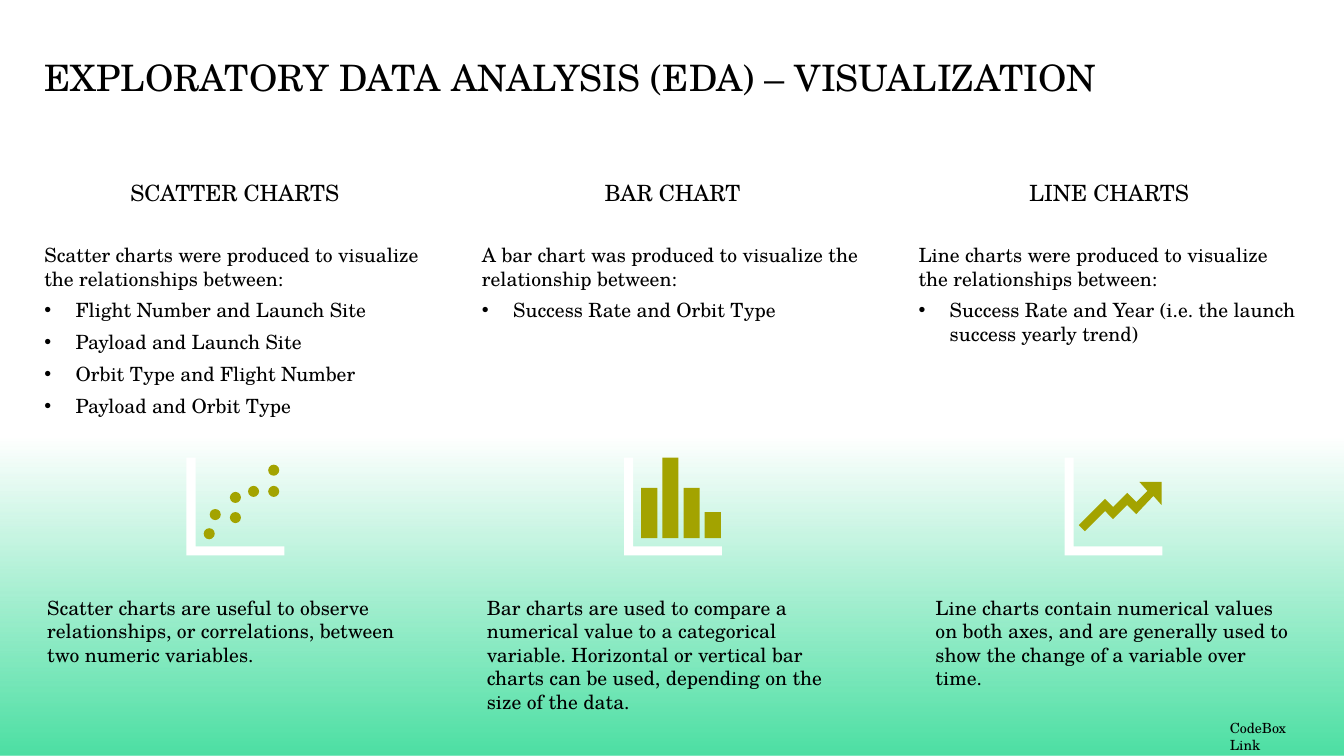
"""Build the slide on exploratory data analysis charts."""
from lxml import etree
from pptx import Presentation
from pptx.dml.color import RGBColor
from pptx.enum.shapes import MSO_SHAPE
from pptx.enum.text import MSO_ANCHOR, MSO_AUTO_SIZE, PP_ALIGN
from pptx.oxml import parse_xml
from pptx.oxml.ns import nsdecls, qn
from pptx.util import Inches, Pt

RECTANGLE, OVAL = MSO_SHAPE.RECTANGLE, MSO_SHAPE.OVAL
TOP, MIDDLE, BOTTOM = MSO_ANCHOR.TOP, MSO_ANCHOR.MIDDLE, MSO_ANCHOR.BOTTOM
LEFT, CENTER = PP_ALIGN.LEFT, PP_ALIGN.CENTER
GROW = MSO_AUTO_SIZE.SHAPE_TO_FIT_TEXT

COLORS = {"text": "000000", "mint": "4CDFA3", "axis": "FFFFFF", "mark": "A3A300"}
COLUMN_WIDTH = 3.78
ICON_TOP = 4.54
ICON_SIZE = 0.97
AXIS_THICKNESS = 0.09
DOT_SIZE = 0.11
BAR_WIDTH = 0.16
BAR_STEP = 0.21
BAR_BASE = 5.34

COLUMNS = [
    {
        "left": 0.44, "heading": "SCATTER CHARTS",
        "intro": "Scatter charts were produced to visualize the relationships between:",
        "bullets": ["Flight Number and Launch Site", "Payload and Launch Site",
                    "Orbit Type and Flight Number", "Payload and Orbit Type"],
        "axis_left": 1.85, "caption_left": 0.37, "caption_height": 0.81,
        "caption": "Scatter charts are useful to observe relationships, or "
                   "correlations, between two numeric variables.",
    },
    {
        "left": 4.78, "heading": "BAR CHART",
        "intro": "A bar chart was produced to visualize the relationship between:",
        "bullets": ["Success Rate and Orbit Type"],
        "axis_left": 6.19, "caption_left": 4.73, "caption_height": 1.04,
        "caption": "Bar charts are used to compare a numerical value to a categorical "
                   "variable. Horizontal or vertical bar charts can be used, depending "
                   "on the size of the data.",
    },
    {
        "left": 9.11, "heading": "LINE CHARTS",
        "intro": "Line charts were produced to visualize the relationships between:",
        "bullets": ["Success Rate and Year (i.e. the launch success yearly trend)"],
        "axis_left": 10.56, "caption_left": 9.18, "caption_height": 0.81,
        "caption": "Line charts contain numerical values on both axes, and are "
                   "generally used to show the change of a variable over time.",
    },
]
DOTS = [(2.02, 5.24), (2.08, 5.05), (2.28, 5.08), (2.28, 4.88),
        (2.46, 4.82), (2.66, 4.82), (2.66, 4.61)]
BAR_TOPS = [4.84, 4.54, 4.84, 5.08]
TREND_ARROW = [(11.3, 4.78), (11.38, 4.87), (11.27, 4.98), (11.18, 4.89), (11.04, 5.03),
               (10.96, 4.95), (10.7, 5.21), (10.76, 5.27), (10.96, 5.07), (11.04, 5.15),
               (11.18, 5.01), (11.27, 5.1), (11.44, 4.92), (11.52, 5.01), (11.52, 4.78)]


class Page:
    """Holds the style and the current slide."""

    font = "TeX Gyre Schola"

    def __init__(self, slide):
        self.shapes = slide.shapes

    def paint(self, shape, color):
        shape.shadow.inherit = False
        shape.fill.solid()
        shape.fill.fore_color.rgb = RGBColor.from_string(COLORS[color])
        shape.line.fill.background()
        return shape

    def shape(self, kind, left, top, width, height, color):
        shape = self.shapes.add_shape(
            kind, Inches(left), Inches(top), Inches(width), Inches(height))
        return self.paint(shape, color)

    def outline(self, points, color):
        corners = [(Inches(x), Inches(y)) for x, y in points]
        builder = self.shapes.build_freeform(*corners[0])
        builder.add_line_segments(corners[1:], close=True)
        return self.paint(builder.convert_to_shape(), color)

    def fading_band(self, left, top, width, height, color):
        band = self.shape(RECTANGLE, left, top, width, height, color)
        gradient = parse_xml(
            f'<a:gradFill {nsdecls("a")} rotWithShape="1"><a:gsLst>'
            f'<a:gs pos="14000"><a:srgbClr val="{COLORS[color]}"><a:alpha val="0"/>'
            f'</a:srgbClr></a:gs><a:gs pos="100000"><a:srgbClr val="{COLORS[color]}"/>'
            '</a:gs></a:gsLst><a:lin ang="5400000" scaled="0"/></a:gradFill>')
        properties = band._element.spPr
        properties.replace(properties.find(qn("a:solidFill")), gradient)

    def axis(self, left):
        top, bottom, right = ICON_TOP, ICON_TOP + ICON_SIZE, left + ICON_SIZE
        inner_x, inner_y = left + AXIS_THICKNESS, bottom - AXIS_THICKNESS
        self.outline([(inner_x, top), (left, top), (left, bottom), (right, bottom),
                      (right, inner_y), (inner_x, inner_y)], "axis")

    def text(self, left, top, width, height, lines, size, bullets=(), anchor=TOP,
             align=LEFT, after=None, spacing=None, padded=False):
        box = self.shapes.add_textbox(
            Inches(left), Inches(top), Inches(width), Inches(height))
        frame = box.text_frame
        frame.word_wrap = True
        frame.vertical_anchor = anchor
        if padded:
            frame.auto_size = GROW
        else:
            frame.margin_left = frame.margin_right = 0
            frame.margin_top = frame.margin_bottom = 0
        for index, line in enumerate([*lines, *bullets]):
            para = frame.add_paragraph() if index else frame.paragraphs[0]
            para.text = line
            para.alignment = align
            if spacing:
                para.line_spacing = spacing
            if after:
                para.space_after = Pt(after)
            if index >= len(lines):
                self.bullet(para)
            para.font.name = self.font
            para.font.size = Pt(size)
            para.font.color.rgb = RGBColor.from_string(COLORS["text"])

    def bullet(self, para):
        properties = para._p.get_or_add_pPr()
        properties.set("marL", str(Inches(0.31)))
        properties.set("indent", str(-Inches(0.31)))
        etree.SubElement(properties, qn("a:buFont")).set("typeface", "Arial")
        etree.SubElement(properties, qn("a:buChar")).set("char", "•")


def main():
    deck = Presentation()
    deck.slide_width, deck.slide_height = Inches(13.33), Inches(7.5)
    page = Page(deck.slides.add_slide(deck.slide_layouts[6]))

    page.fading_band(0, 3.84, 13.33, 3.66, "mint")
    page.text(0.44, 0.21, 11.97, 0.78, ["EXPLORATORY DATA ANALYSIS (EDA) – VISUALIZATION"],
              26, anchor=BOTTOM, spacing=0.9)
    for column in COLUMNS:
        page.text(column["left"], 1.45, COLUMN_WIDTH, 0.92, [column["heading"]], 16,
                  anchor=MIDDLE, align=CENTER, after=6)
        page.text(column["left"], 2.41, COLUMN_WIDTH, 4.46, [column["intro"]], 14,
                  bullets=column["bullets"], after=6)
        page.axis(column["axis_left"])
        page.text(column["caption_left"], 5.86, COLUMN_WIDTH, column["caption_height"],
                  [column["caption"]], 14, padded=True)
    page.text(12.1, 7.09, 0.98, 0.27, ["CodeBox Link"], 10, padded=True)

    for left, top in DOTS:
        page.shape(OVAL, left, top, DOT_SIZE, DOT_SIZE, "mark")
    for index, top in enumerate(BAR_TOPS):
        page.shape(RECTANGLE, 6.36 + index * BAR_STEP, top, BAR_WIDTH, BAR_BASE - top, "mark")
    page.outline(TREND_ARROW, "mark")

    deck.save("out.pptx")


if __name__ == "__main__":
    main()
